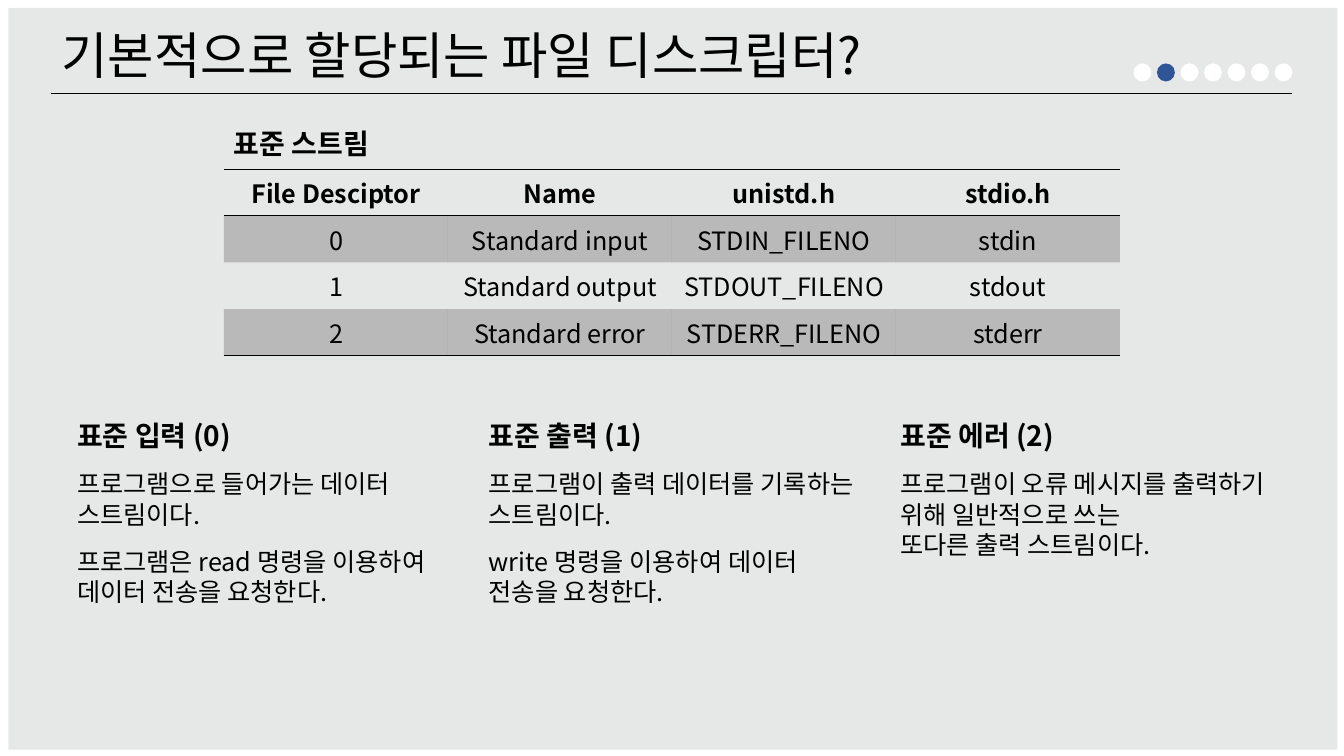
from lxml import etree
from pptx import Presentation
from pptx.dml.color import RGBColor
from pptx.enum.shapes import MSO_CONNECTOR, MSO_SHAPE
from pptx.enum.text import MSO_ANCHOR, MSO_AUTO_SIZE, PP_ALIGN
from pptx.oxml.ns import qn
from pptx.util import Inches, Pt

BLACK = RGBColor(0x00, 0x00, 0x00)
WHITE = RGBColor(0xFF, 0xFF, 0xFF)
PANEL_GREY = RGBColor(0xE6, 0xE8, 0xE7)
PAGE_BLUE = RGBColor(0x2F, 0x55, 0x97)

LEFT, CENTER = PP_ALIGN.LEFT, PP_ALIGN.CENTER
TOP = MSO_ANCHOR.TOP
NO_AUTO_SIZE = MSO_AUTO_SIZE.NONE
RECTANGLE, OVAL = MSO_SHAPE.RECTANGLE, MSO_SHAPE.OVAL
STRAIGHT = MSO_CONNECTOR.STRAIGHT

FONT = "Noto Sans CJK KR"
PLAIN_TABLE_STYLE = "{2D5ABB26-0587-4C30-8999-92F81FD0307C}"
SLIDE_WIDTH, SLIDE_HEIGHT = Inches(13.33), Inches(7.5)
COLUMN, ROW = SLIDE_WIDTH / 24, SLIDE_HEIGHT / 18

STREAM_ROWS = [
    ("File Desciptor", "Name", "unistd.h", "stdio.h"),
    ("0", "Standard input", "STDIN_FILENO", "stdin"),
    ("1", "Standard output", "STDOUT_FILENO", "stdout"),
    ("2", "Standard error", "STDERR_FILENO", "stderr"),
]
DESCRIPTIONS = [
    ("표준 입력 (0)", [
        ("프로그램으로 들어가는 데이터 스트림이다.", 12),
        ("프로그램은 read 명령을 이용하여 데이터 전송을 요청한다.", 12),
    ]),
    ("표준 출력 (1)", [
        ("프로그램이 출력 데이터를 기록하는 스트림이다.", 12),
        ("write 명령을 이용하여 데이터", 12),
        ("전송을 요청한다.", 0),
    ]),
    ("표준 에러 (2)", [
        ("프로그램이 오류 메시지를 출력하기 위해 일반적으로 쓰는", 12),
        ("또다른 출력 스트림이다.", 0),
    ]),
]


class GridSlide:
    """Draws styled elements on a slide using a grid of 24 columns and 18 rows."""

    def __init__(self, presentation):
        self.slide = presentation.slides.add_slide(presentation.slide_layouts[5])
        self.shapes = self.slide.shapes

    def box(self, left, top, width, height):
        return (round(left * COLUMN), round(top * ROW),
                round(width * COLUMN), round(height * ROW))

    def styled_run(self, paragraph, text, size, bold=False, align=LEFT, before=0):
        paragraph.alignment = align
        paragraph.space_before = Pt(before)
        run = paragraph.add_run()
        run.text = text
        run.font.name = FONT
        run.font.size = Pt(size)
        run.font.bold = bold
        run.font.color.rgb = BLACK
        east_asian = etree.Element(qn("a:ea"), typeface=FONT)
        run.font._element.find(qn("a:latin")).addnext(east_asian)

    def title(self, text, *area):
        shape = self.shapes.title
        shape.left, shape.top, shape.width, shape.height = self.box(*area)
        frame = shape.text_frame
        frame.auto_size = NO_AUTO_SIZE
        frame.word_wrap = False
        frame.vertical_anchor = TOP
        self.styled_run(frame.paragraphs[0], text, 36)

    def filled(self, kind, color, area, shapes=None):
        shape = (shapes or self.shapes).add_shape(kind, *self.box(*area))
        shape.shadow.inherit = False
        shape.fill.solid()
        shape.fill.fore_color.rgb = color
        shape.line.fill.background()
        return shape

    def panel(self, *area):
        shape = self.filled(RECTANGLE, PANEL_GREY, area)
        self.shapes.title._element.addprevious(shape._element)

    def rule(self, left, right, top):
        x_start, y, x_end, _ = self.box(left, top, right, 0)
        line = self.shapes.add_connector(STRAIGHT, x_start, y, x_end, y)
        line.line.color.rgb = BLACK
        line.line.width = Pt(0.5)
        etree.SubElement(line._element.spPr, qn("a:effectLst"))

    def text(self, heading, paragraphs, *area):
        frame = self.shapes.add_textbox(*self.box(*area)).text_frame
        frame.word_wrap = True
        self.styled_run(frame.paragraphs[0], heading, 20, bold=True)
        for text, before in paragraphs:
            self.styled_run(frame.add_paragraph(), text, 18, before=before)

    def page_dots(self, count, current, left, top, step, width, height):
        group = self.shapes.add_group_shape()
        for index in range(count):
            color = PAGE_BLUE if index == current else WHITE
            area = (left + index * step, top, width, height)
            self.filled(OVAL, color, area, group.shapes)

    def border(self, cell, sides):
        properties = cell._tc.get_or_add_tcPr()
        for position, side in enumerate(sides):
            line = etree.Element(qn(f"a:ln{side}"), w=str(Pt(1)))
            fill = etree.SubElement(line, qn("a:solidFill"))
            etree.SubElement(fill, qn("a:srgbClr"), val=str(BLACK))
            properties.insert(position, line)

    def shade(self, cell):
        cell.fill.solid()
        cell.fill.fore_color.rgb = BLACK
        color = cell._tc.tcPr.find(qn("a:solidFill")).find(qn("a:srgbClr"))
        etree.SubElement(color, qn("a:alpha"), val="20000")

    def table(self, rows, *area):
        frame = self.shapes.add_table(len(rows), len(rows[0]), *self.box(*area))
        table = frame.table
        table.first_row = table.horz_banding = False
        table._tbl.tblPr.find(qn("a:tableStyleId")).text = PLAIN_TABLE_STYLE
        borders = {0: "TB", len(rows) - 1: "B"}
        for row_index, values in enumerate(rows):
            for column_index, value in enumerate(values):
                cell = table.cell(row_index, column_index)
                if row_index % 2:
                    self.shade(cell)
                else:
                    cell.fill.background()
                self.border(cell, borders.get(row_index, ""))
                self.styled_run(cell.text_frame.paragraphs[0], value, 18,
                                bold=row_index == 0, align=CENTER)


def main():
    presentation = Presentation()
    presentation.slide_width = SLIDE_WIDTH
    presentation.slide_height = SLIDE_HEIGHT
    page = GridSlide(presentation)
    page.panel(0.15, 0.19, 23.73, 17.66)
    page.title("기본적으로 할당되는 파일 디스크립터?", 0.92, 0.46, 16.28, 1.7)
    page.rule(0.92, 23.08, 2.23)
    page.table(STREAM_ROWS, 4, 4.03, 16, 3.88)
    page.text("표준 스트림", [], 4, 2.9, 3.06, 1.06)
    for index, (heading, paragraphs) in enumerate(DESCRIPTIONS):
        page.text(heading, paragraphs, 1.2 + index * 7.35, 9.84, 7, 4.78)
    page.page_dots(7, 1, 20.24, 1.51, 0.42, 0.32, 0.43)
    presentation.save("out.pptx")


if __name__ == "__main__":
    main()
